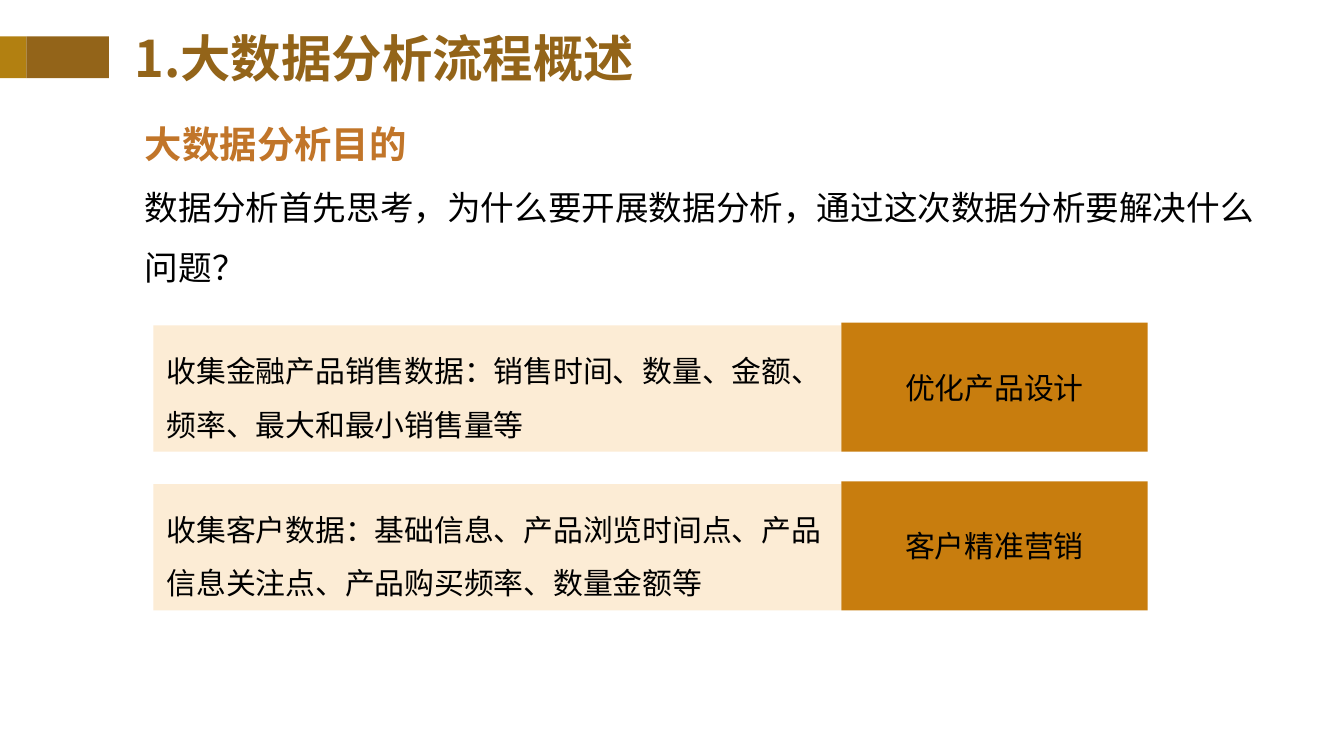
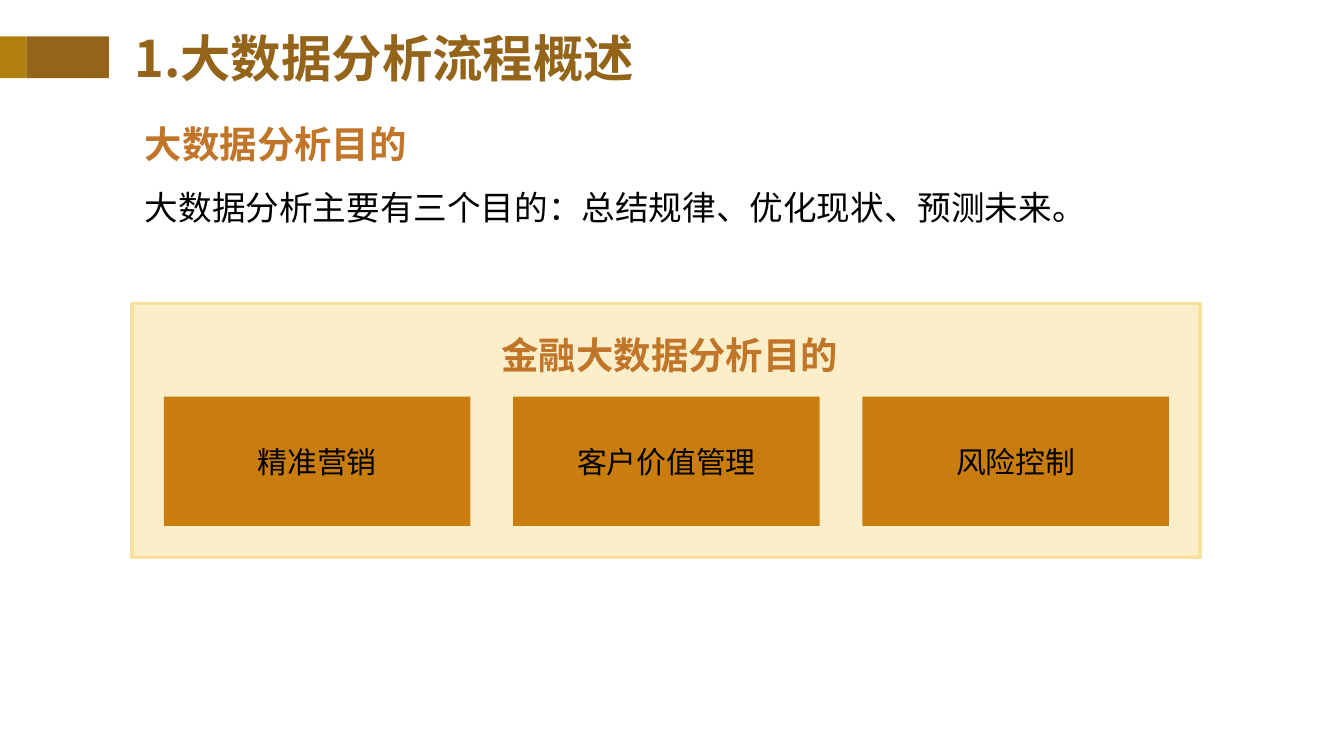
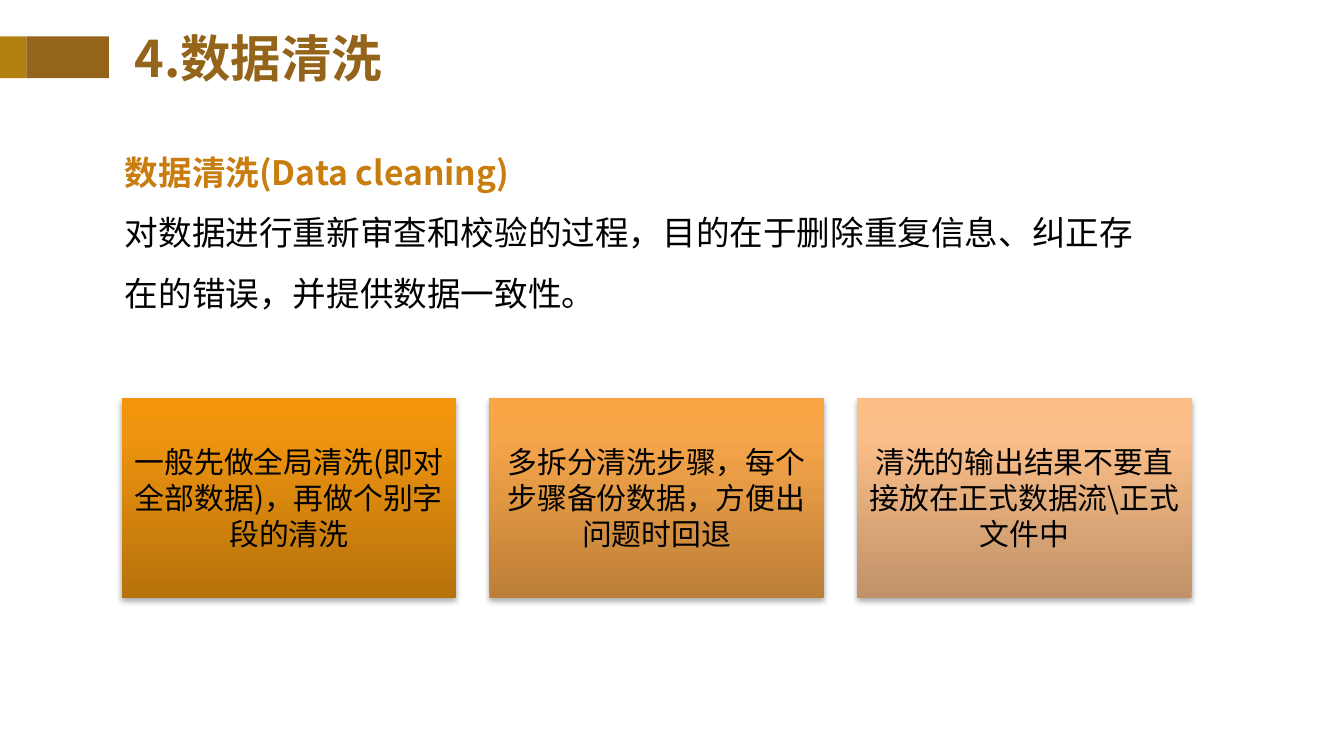
from copy import deepcopy

from lxml import etree
from pptx import Presentation
from pptx.dml.color import RGBColor
from pptx.enum import shapes, text
from pptx.oxml.ns import qn
from pptx.util import Cm, Pt

FONT = "Noto Sans CJK SC"
COLORS = {
    "gold": "B28011",
    "brown": "936419",
    "heading": "C17529",
    "accent": "C87D0E",
    "cream": "FCECD5",
    "panel": "FBEEC9",
    "panel_line": "F8E19F",
    "black": "000000",
}
CARD_GRADIENTS = [
    ("B6720B", "ED930F", "F2950B"),
    ("BD7F38", "F6A549", "FAA646"),
    ("C19269", "FABE88", "FEBF87"),
]
GRADIENT_POSITIONS = (0, 0.8, 1)
ACTION_SIZE = (5.79, 2.44)
LEFT, CENTER = text.PP_ALIGN.LEFT, text.PP_ALIGN.CENTER


def rgb(name):
    """Return the named colour."""
    return RGBColor.from_string(COLORS[name])


def add_paragraph(frame, words, size, color="black", bold=False, align=LEFT, spacing=None):
    """Write one styled paragraph, using the empty first one if there is one."""
    paragraph = frame.paragraphs[0]
    if paragraph.runs:
        paragraph = frame.add_paragraph()
    paragraph.alignment = align
    paragraph.line_spacing = spacing
    run = paragraph.add_run()
    run.text = words
    run.font.size = Pt(size)
    run.font.bold = bold
    run.font.color.rgb = rgb(color)
    run.font.name = FONT
    east_asian = etree.SubElement(run.font._element, qn("a:ea"))
    east_asian.set("typeface", FONT)


def add_text_box(slide, left, top, width, height, anchor=text.MSO_ANCHOR.TOP):
    """Add a wrapping text box and return its text frame."""
    box = slide.shapes.add_textbox(Cm(left), Cm(top), Cm(width), Cm(height))
    frame = box.text_frame
    frame.word_wrap = True
    frame.vertical_anchor = anchor
    return frame


def add_rectangle(slide, left, top, width, height, fill=None):
    """Add a flat rectangle without outline or shadow."""
    shape = slide.shapes.add_shape(
        shapes.MSO_SHAPE.RECTANGLE, Cm(left), Cm(top), Cm(width), Cm(height)
    )
    shape.shadow.inherit = False
    shape.line.fill.background()
    if fill:
        shape.fill.solid()
        shape.fill.fore_color.rgb = rgb(fill)
    shape.text_frame.word_wrap = True
    shape.text_frame.vertical_anchor = text.MSO_ANCHOR.MIDDLE
    return shape


def add_action(slide, left, top, words):
    """Add an orange box with a centred label."""
    shape = add_rectangle(slide, left, top, *ACTION_SIZE, "accent")
    add_paragraph(shape.text_frame, words, 16, align=CENTER)


def add_shadow(shape):
    """Give a shape a soft shadow below it."""
    effects = shape._element.spPr.find(qn("a:effectLst"))
    shadow = etree.SubElement(
        effects, qn("a:outerShdw"), blurRad="40000", dist="23000", dir="5400000", rotWithShape="0"
    )
    color = etree.SubElement(shadow, qn("a:srgbClr"), val=COLORS["black"])
    etree.SubElement(color, qn("a:alpha"), val="35000")


def add_gradient(shape, colors):
    """Fill a shape with a three-stop gradient running upwards."""
    shape.fill.gradient()
    shape.fill.gradient_angle = 90
    stop_list = shape._element.spPr.find(qn("a:gradFill")).find(qn("a:gsLst"))
    stop_list.append(deepcopy(stop_list[0]))
    for stop, color, position in zip(shape.fill.gradient_stops, colors, GRADIENT_POSITIONS):
        stop.color.rgb = RGBColor.from_string(color)
        stop.position = position


def add_card(slide, left, top, words, colors):
    """Add a shaded gradient card with centred text."""
    shape = add_rectangle(slide, left, top, 6.32, 3.78)
    add_gradient(shape, colors)
    add_shadow(shape)
    frame = shape.text_frame
    frame.margin_left = frame.margin_right = Cm(0.18)
    frame.margin_top = frame.margin_bottom = Cm(0.18)
    add_paragraph(frame, words, 16, align=CENTER)


def add_introduction(slide, box, heading, body, size=20, color="heading"):
    """Add a bold heading with a sentence below it."""
    frame = add_text_box(slide, *box)
    frame.auto_size = text.MSO_AUTO_SIZE.SHAPE_TO_FIT_TEXT
    add_paragraph(frame, heading, size, color, bold=True, spacing=1.5)
    add_paragraph(frame, body, 18, spacing=1.5)


def add_titled_slide(presentation, title, title_width=10.62):
    """Add a blank slide with the title and its two-colour band."""
    slide = presentation.slides.add_slide(presentation.slide_layouts[6])
    add_rectangle(slide, 0, 0.69, 0.5, 0.79, "gold")
    add_rectangle(slide, 0.5, 0.69, 1.56, 0.79, "brown")
    frame = add_text_box(slide, 2.29, 0.33, title_width, 1.52, text.MSO_ANCHOR.MIDDLE)
    add_paragraph(frame, title, 27, "brown", bold=True)
    return slide


def build_questions(presentation):
    """Build the slide that pairs collected data with its use."""
    slide = add_titled_slide(presentation, "1.大数据分析流程概述")
    add_introduction(
        slide, (2.49, 1.75, 21.87, 3.84), "大数据分析目的",
        "数据分析首先思考，为什么要开展数据分析，通过这次数据分析要解决什么问题？",
    )
    rows = [
        ("收集金融产品销售数据：销售时间、数量、金额、频率、最大和最小销售量等", "优化产品设计"),
        ("收集客户数据：基础信息、产品浏览时间点、产品信息关注点、产品购买频率、数量金额等", "客户精准营销"),
    ]
    for index, (data, action) in enumerate(rows):
        top = 6.1 + 3 * index
        shape = add_rectangle(slide, 2.9, top + 0.05, 13, 2.39, "cream")
        add_paragraph(shape.text_frame, data, 16, spacing=1.5)
        add_action(slide, 15.9, top, action)


def build_purposes(presentation):
    """Build the slide with the three purposes in a panel."""
    slide = add_titled_slide(presentation, "1.大数据分析流程概述")
    panel = add_rectangle(slide, 2.49, 5.74, 20.19, 4.8, "panel")
    panel.line.color.rgb = rgb("panel_line")
    panel.line.width = Pt(2)
    add_introduction(
        slide, (2.49, 1.75, 21.87, 2.69), "大数据分析目的",
        "大数据分析主要有三个目的：总结规律、优化现状、预测未来。",
    )
    for index, purpose in enumerate(["精准营销", "客户价值管理", "风险控制"]):
        add_action(slide, 3.1 + 6.6 * index, 7.5, purpose)
    frame = add_text_box(slide, 9.17, 5.74, 7.14, 1.4)
    add_paragraph(frame, "金融大数据分析目的 ", 20, "heading", bold=True, align=CENTER, spacing=1.5)


def build_cleaning(presentation):
    """Build the slide on data cleaning with its three rules."""
    slide = add_titled_slide(presentation, "4.数据清洗", 18.57)
    add_introduction(
        slide, (2.11, 2.36, 20.12, 3.71), "数据清洗(Data cleaning)",
        "对数据进行重新审查和校验的过程，目的在于删除重复信息、纠正存在的错误，并提供数据一致性。",
        18, "accent",
    )
    rules = [
        "一般先做全局清洗(即对全部数据)，再做个别字段的清洗",
        "多拆分清洗步骤，每个步骤备份数据，方便出问题时回退",
        "清洗的输出结果不要直接放在正式数据流\\正式文件中",
    ]
    for index, (rule, colors) in enumerate(zip(rules, CARD_GRADIENTS)):
        add_card(slide, 2.3 + 6.95 * index, 7.52, rule, colors)


def main():
    """Build the three slides and save them."""
    presentation = Presentation()
    presentation.slide_width = Cm(25.4)
    presentation.slide_height = Cm(14.29)
    build_questions(presentation)
    build_purposes(presentation)
    build_cleaning(presentation)
    presentation.save("out.pptx")


if __name__ == "__main__":
    main()
